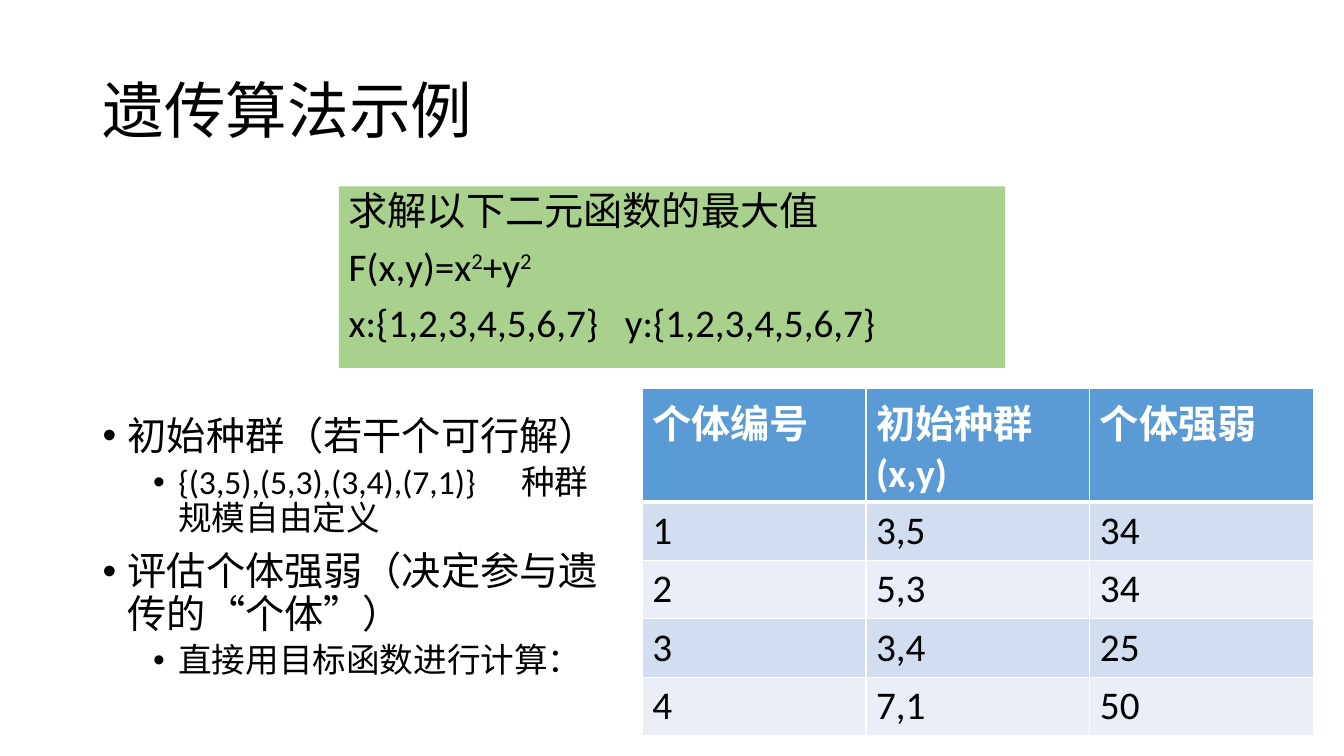
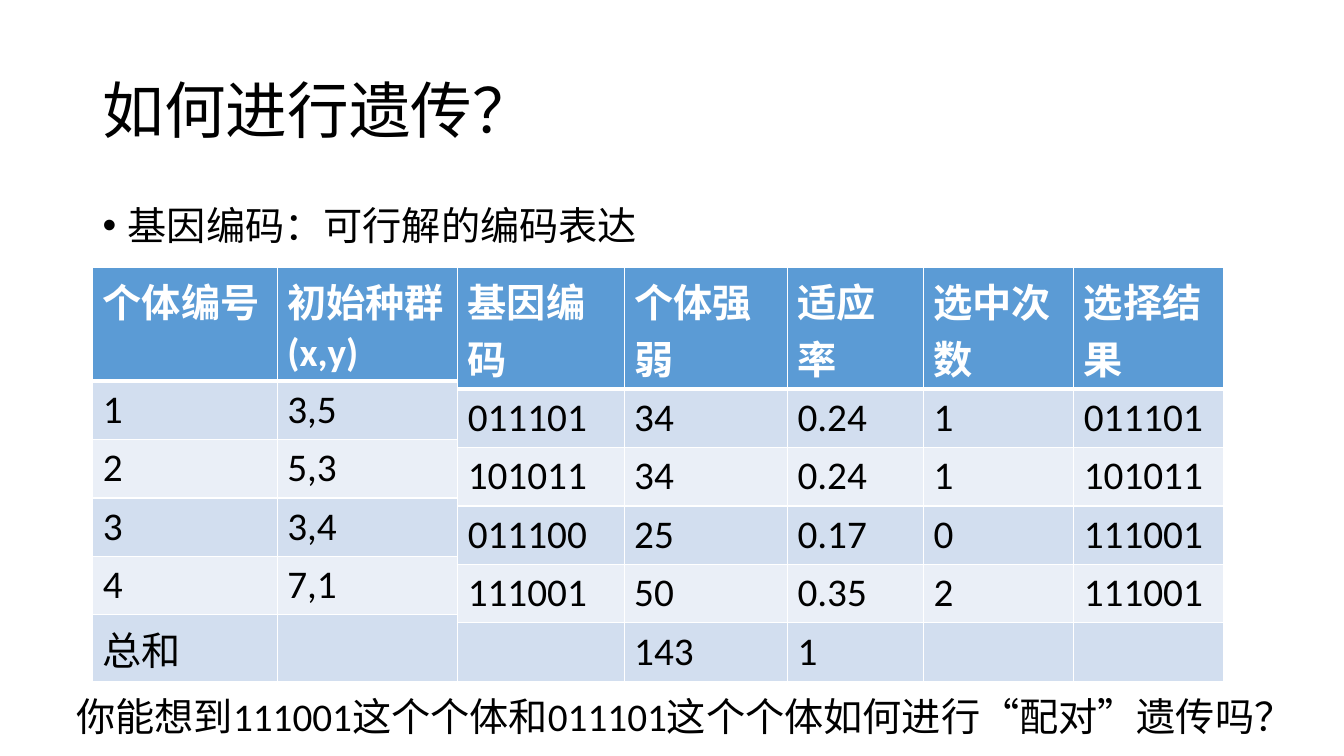
from lxml import etree
from pptx import Presentation
from pptx import util as u
from pptx.dml.color import RGBColor
from pptx.enum import lang, shapes, text
from pptx.oxml import ns

PX = 9144  # EMU per px, 100 px to the inch

THEME = {
    "font": "Calibri",
    "ink": "000000",
    "paper": "FFFFFF",
    "panel": "A9D18E",
    "header": "5B9BD5",
    "bands": ("D2DEEF", "EAEFF7"),
    "title_size": 44,
    "text_size": 28,
    "detail_size": 24,
}

# Content
SLIDE_SIZE = (1333, 750)
TITLE_BOX = (92, 40, 1150, 145)

# Row heights: Chinese lines are taller than Latin ones
ROW, CHINESE_ROW = 58, 66
MIXED_HEADER, CHINESE_HEADER = 113, 121
STRENGTH_ROWS = [MIXED_HEADER] + [ROW] * 4
POPULATION_ROWS = [MIXED_HEADER] + [ROW] * 4 + [CHINESE_ROW]
CODING_ROWS = [CHINESE_HEADER] + [ROW] * 5

EXAMPLE_TITLE = "遗传算法示例"
PROBLEM_BOX = (336, 185, 661, 180)
# Runs alternate between plain and superscript
PROBLEM = [
    ["求解以下二元函数的最大值"],
    ["F(x,y)=x", "2", "+y", "2"],
    ["x:{1,2,3,4,5,6,7}\ty:{1,2,3,4,5,6,7}"],
]
PROBLEM_TAB = 274
STEPS_BOX = (92, 408, 530, 306)
# Level, text
STEPS = [
    (0, "初始种群（若干个可行解）"),
    (1, "{(3,5),(5,3),(3,4),(7,1)}\t种群规模自由定义"),
    (0, "评估个体强弱（决定参与遗传的“个体”）"),
    (1, "直接用目标函数进行计算："),
]
STEPS_TAB = 415
NUMBERS = ["个体编号", "1", "2", "3", "4"]
POPULATION = ["初始种群(x,y)", "3,5", "5,3", "3,4", "7,1"]
STRENGTH = ["个体强弱", "34", "34", "25", "50"]
STRENGTH_AT = (637, 385)
STRENGTH_COLUMNS = [(222, NUMBERS), (222, POPULATION), (222, STRENGTH)]

HEREDITY_TITLE = "如何进行遗传？"
CODING_BOX = (92, 200, 1150, 476)
CODING = [(0, "基因编码：可行解的编码表达")]
HEREDITY_TOP = 265
# Left edge, row heights, columns of each table (width, cells)
HEREDITY_TABLES = [
    (92, POPULATION_ROWS,
     [(183, NUMBERS + ["总和"]), (182, POPULATION + [""])]),
    (454, CODING_ROWS,
     [(165, ["基因编码", "011101", "101011", "011100", "111001", ""])]),
    (619, CODING_ROWS, [(165, STRENGTH + ["143"])]),
    (781, CODING_ROWS,
     [(135, ["适应率", "0.24", "0.24", "0.17", "0.35", "1"])]),
    (916, CODING_ROWS, [(149, ["选中次数", "1", "1", "0", "2", ""])]),
    (1065, CODING_ROWS,
     [(149, ["选择结果", "011101", "101011", "111001", "111001", ""])]),
]
QUESTION_BOX = (66, 682, 1242, 57)
QUESTION = "你能想到111001这个个体和011101这个个体如何进行“配对”遗传吗？"


def px(*lengths):
    return [u.Emu(length * PX) for length in lengths]


def apply_format(target, values):
    for name, value in values.items():
        setattr(target, name, value)


def fill(target, color):
    target.fill.solid()
    target.fill.fore_color.rgb = RGBColor.from_string(color)


def add_run(paragraph, words, size="text_size", color="ink", bold=False):
    run = paragraph.add_run()
    run.text = words
    apply_format(run.font, {
        "name": THEME["font"],
        "size": u.Pt(THEME[size]),
        "bold": bold,
        "language_id": lang.MSO_LANGUAGE_ID.SIMPLIFIED_CHINESE,
    })
    run.font.color.rgb = RGBColor.from_string(THEME[color])
    return run


def add_paragraph(frame, index, space_before=0):
    paragraph = frame.add_paragraph() if index else frame.paragraphs[0]
    apply_format(paragraph, {
        "alignment": text.PP_ALIGN.LEFT,
        "line_spacing": 0.9,
        "space_before": u.Pt(space_before),
    })
    return paragraph


def add_box(slide, box, anchor=text.MSO_ANCHOR.TOP):
    frame = slide.shapes.add_textbox(*px(*box)).text_frame
    apply_format(frame, {"word_wrap": True, "vertical_anchor": anchor})
    return frame


def set_tab(paragraph, position):
    tabs = etree.SubElement(paragraph._p.get_or_add_pPr(), ns.qn("a:tabLst"))
    etree.SubElement(tabs, ns.qn("a:tab"), pos=str(position * PX), algn="l")


def set_bullet(paragraph, level):
    properties = paragraph._p.get_or_add_pPr()
    properties.set("marL", str((25 + 50 * level) * PX))
    properties.set("indent", str(-25 * PX))
    etree.SubElement(properties, ns.qn("a:buFont"), typeface="Arial")
    etree.SubElement(properties, ns.qn("a:buChar"), char="•")


def add_bullets(slide, box, items, tab=None):
    frame = add_box(slide, box)
    for index, (level, words) in enumerate(items):
        paragraph = add_paragraph(frame, index, 5 if level else 10)
        paragraph.level = level
        set_bullet(paragraph, level)
        if "\t" in words:
            set_tab(paragraph, tab)
        add_run(paragraph, words, "detail_size" if level else "text_size")


def set_borders(cell, is_header):
    properties = cell._tc.get_or_add_tcPr()
    sides = {"lnL": 1, "lnR": 1, "lnT": 1, "lnB": 3 if is_header else 1}
    for position, (side, width) in enumerate(sides.items()):
        line = etree.Element(ns.qn("a:" + side), w=str(u.Pt(width)))
        solid = etree.SubElement(line, ns.qn("a:solidFill"))
        etree.SubElement(solid, ns.qn("a:srgbClr"), val=THEME["paper"])
        properties.insert(position, line)


def add_table(slide, left, top, heights, columns):
    width = sum(column_width for column_width, _ in columns)
    table = slide.shapes.add_table(
        len(heights), len(columns), *px(left, top, width, sum(heights))).table
    for row, height in zip(table.rows, px(*heights)):
        row.height = height
    for column_index, (column_width, words) in enumerate(columns):
        table.columns[column_index].width = px(column_width)[0]
        for row_index, value in enumerate(words):
            cell = table.cell(row_index, column_index)
            is_header = row_index == 0
            band = THEME["bands"][(row_index - 1) % 2]
            fill(cell, THEME["header"] if is_header else band)
            set_borders(cell, is_header)
            if value:
                add_run(cell.text_frame.paragraphs[0], value,
                        color="paper" if is_header else "ink", bold=is_header)


def add_titled_slide(presentation, title):
    slide = presentation.slides.add_slide(presentation.slide_layouts[6])
    frame = add_box(slide, TITLE_BOX, text.MSO_ANCHOR.MIDDLE)
    add_run(add_paragraph(frame, 0), title, "title_size")
    return slide


def add_problem(slide):
    panel = slide.shapes.add_shape(
        shapes.MSO_SHAPE.RECTANGLE, *px(*PROBLEM_BOX))
    panel.shadow.inherit = False
    fill(panel, THEME["panel"])
    panel.line.fill.background()
    frame = panel.text_frame
    apply_format(frame, {"word_wrap": True,
                         "vertical_anchor": text.MSO_ANCHOR.TOP})
    for index, runs in enumerate(PROBLEM):
        paragraph = add_paragraph(frame, index, 10)
        for run_index, words in enumerate(runs):
            run = add_run(paragraph, words)
            if run_index % 2:
                run._r.get_or_add_rPr().set("baseline", "30000")
            if "\t" in words:
                set_tab(paragraph, PROBLEM_TAB)


def main():
    presentation = Presentation()
    presentation.slide_width, presentation.slide_height = px(*SLIDE_SIZE)

    # Worked example
    slide = add_titled_slide(presentation, EXAMPLE_TITLE)
    add_problem(slide)
    add_bullets(slide, STEPS_BOX, STEPS, STEPS_TAB)
    add_table(slide, *STRENGTH_AT, STRENGTH_ROWS, STRENGTH_COLUMNS)

    # Heredity
    slide = add_titled_slide(presentation, HEREDITY_TITLE)
    add_bullets(slide, CODING_BOX, CODING)
    for left, heights, columns in HEREDITY_TABLES:
        add_table(slide, left, HEREDITY_TOP, heights, columns)
    frame = add_box(slide, QUESTION_BOX)
    apply_format(frame, {"word_wrap": False,
                         "auto_size": text.MSO_AUTO_SIZE.SHAPE_TO_FIT_TEXT})
    add_run(frame.paragraphs[0], QUESTION)

    presentation.save("out.pptx")


if __name__ == "__main__":
    main()
